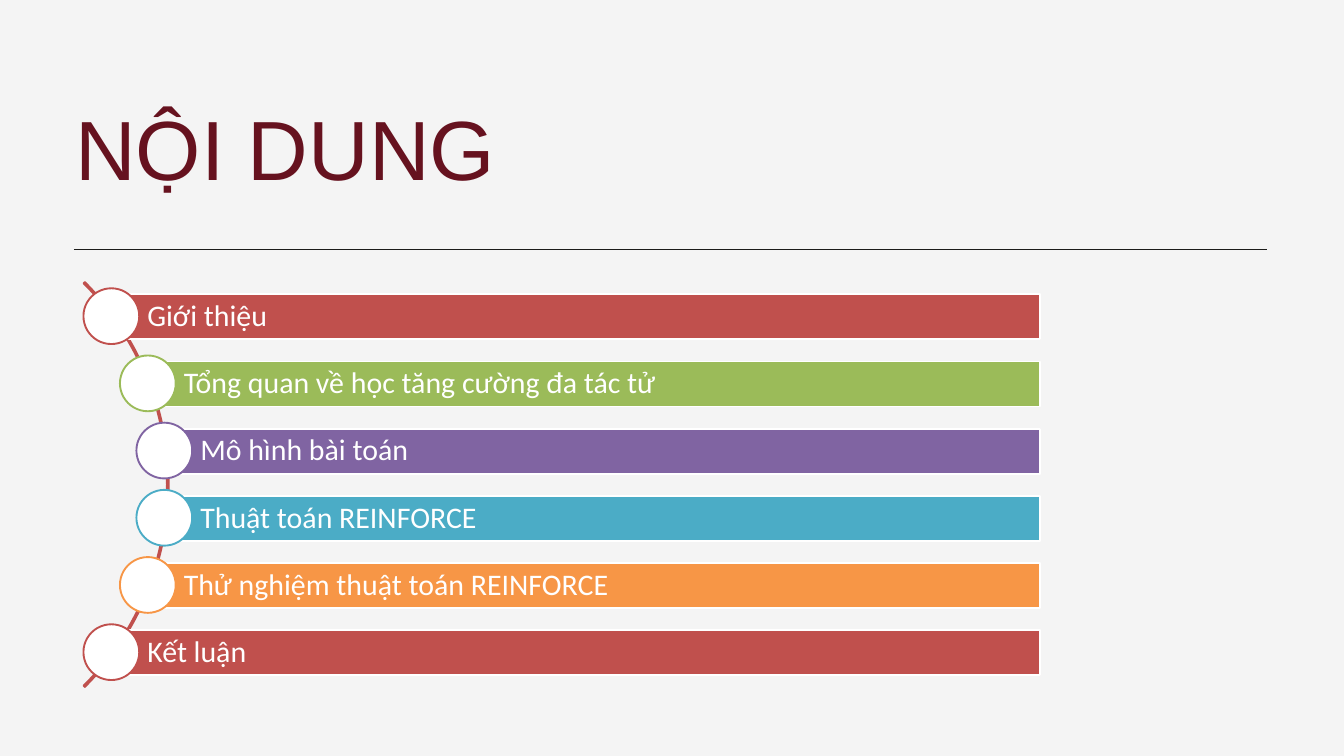
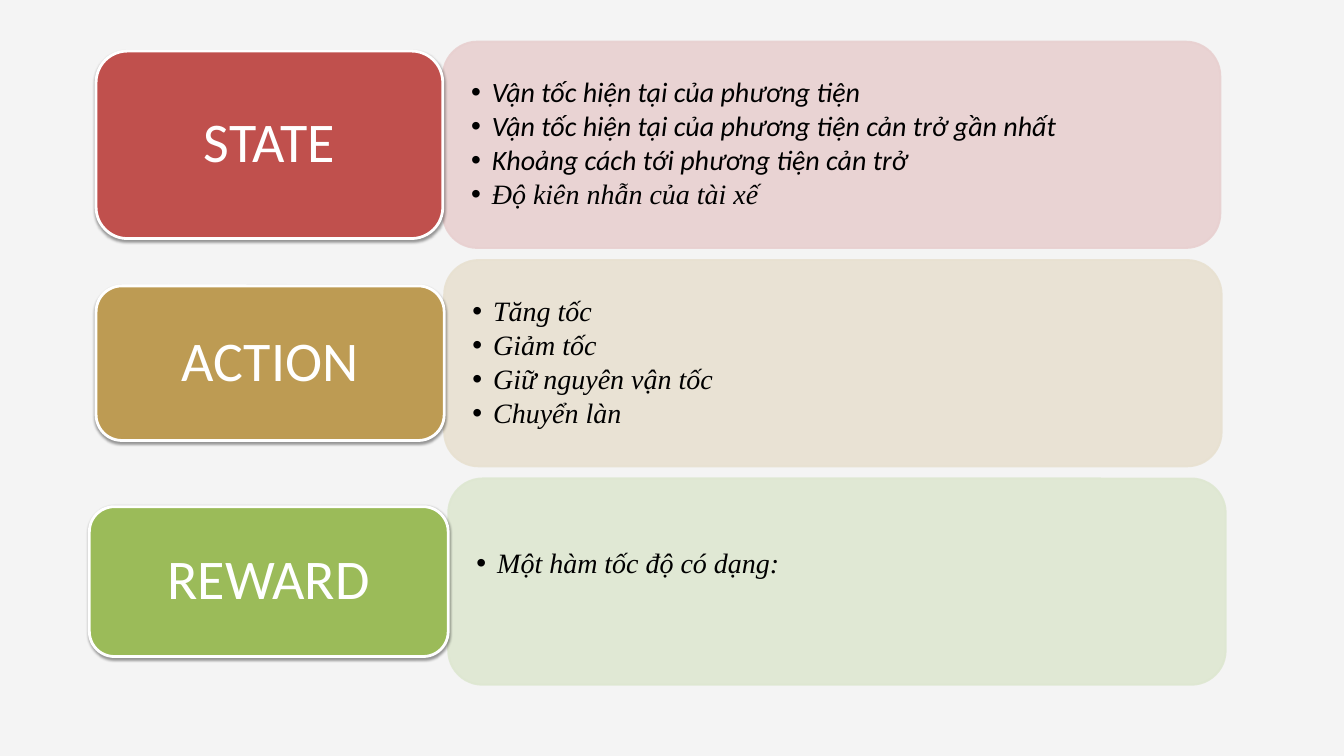
from math import sqrt

from lxml import etree
from pptx import Presentation
from pptx.dml.color import RGBColor
from pptx.enum.shapes import MSO_CONNECTOR, MSO_SHAPE
from pptx.enum.text import MSO_ANCHOR, MSO_AUTO_SIZE, PP_ALIGN
from pptx.oxml.ns import qn
from pptx.util import Inches, Pt

ARC, RECT = MSO_SHAPE.BLOCK_ARC, MSO_SHAPE.RECTANGLE
OVAL, ROUND = MSO_SHAPE.OVAL, MSO_SHAPE.ROUNDED_RECTANGLE
LINE, GROW = MSO_CONNECTOR.STRAIGHT, MSO_AUTO_SIZE.SHAPE_TO_FIT_TEXT
MIDDLE, LEFT, CENTER = MSO_ANCHOR.MIDDLE, PP_ALIGN.LEFT, PP_ALIGN.CENTER

SANS, SERIF, HEAD = "Calibri", "Times New Roman", "Arial"
PAPER, INK, TITLE = "F4F4F4", "1B1B19", "66121F"
WHITE, BLACK = "FFFFFF", "000000"
RED, GREEN, GOLD = "C0504D", "9BBB59", "BD9B53"
VIOLET, TEAL, ORANGE = "8064A2", "4BACC6", "F79646"

# Slide content
TOPICS = [
    ("Giới thiệu", RED),
    ("Tổng quan về học tăng cường đa tác tử", GREEN),
    ("Mô hình bài toán", VIOLET),
    ("Thuật toán REINFORCE", TEAL),
    ("Thử nghiệm thuật toán REINFORCE", ORANGE),
    ("Kết luận", RED),
]
# Label, colour, tint, label left and height, card left, bottom inset, bullets
PARTS = [
    ("STATE", RED, "E8D0D0", 1.43, 2.79, 6.59, 0.14, [
        ("Vận tốc hiện tại của phương tiện", SANS),
        ("Vận tốc hiện tại của phương tiện cản trở gần nhất", SANS),
        ("Khoảng cách tới phương tiện cản trở", SANS),
        ("Độ kiên nhẫn của tài xế", SERIF)]),
    ("ACTION", GOLD, "E8E1D1", 1.43, 2.3, 6.61, 0.14, [
        ("Tăng tốc", SERIF),
        ("Giảm tốc", SERIF),
        ("Giữ nguyên vận tốc", SERIF),
        ("Chuyển làn", SERIF)]),
    ("REWARD", GREEN, "DEE7D1", 1.33, 2.23, 6.67, 0.66, [
        ("Một hàm tốc độ có dạng:", SERIF)]),
]


def paint(code):
    return RGBColor.from_string(code)


def add(node, tag, **attrs):
    return etree.SubElement(node, qn(tag), attrs)


class Deck:
    def __init__(self):
        self.prs = Presentation()
        self.prs.slide_width, self.prs.slide_height = Inches(20), Inches(11.25)
        self.slide = None

    def page(self):
        self.slide = self.prs.slides.add_slide(self.prs.slide_layouts[6])
        fill = self.slide.background.fill
        fill.solid()
        fill.fore_color.rgb = paint(PAPER)

    def shape(self, kind, box, fill, line, width=2):
        item = self.slide.shapes.add_shape(kind, *map(Inches, box))
        item.shadow.inherit = False
        if fill:
            item.fill.solid()
            item.fill.fore_color.rgb = paint(fill)
        else:
            item.fill.background()
        item.line.color.rgb = paint(line)
        item.line.width = Pt(width)
        return item

    def fade(self, item, part):
        for color in item._element.spPr.iter(qn("a:srgbClr")):
            add(color, "a:alpha", val=str(part * 1000))

    def shade(self, item):
        glow = item._element.spPr.find(qn("a:effectLst"))
        drop = add(glow, "a:outerShdw", blurRad=str(Pt(3.1)),
                   dist=str(Pt(1.6)), dir="5400000", rotWithShape="0")
        color = add(drop, "a:srgbClr", val=BLACK)
        add(color, "a:alpha", val="38000")

    def frame(self, item, insets):
        frame = item.text_frame
        frame.word_wrap = True
        frame.vertical_anchor = MIDDLE
        (frame.margin_left, frame.margin_top,
         frame.margin_right, frame.margin_bottom) = map(Inches, insets)
        return frame

    def text(self, para, words, size, font, color, align=LEFT, space=0.9):
        para.alignment = align
        para.line_spacing = space
        run = para.add_run()
        run.text = words
        run.font.size = Pt(size)
        run.font.name = font
        run.font.color.rgb = paint(color)
        return run

    def title(self, words):
        box = self.slide.shapes.add_textbox(
            Inches(1.12), Inches(1.66), Inches(8.88), Inches(1.31))
        frame = self.frame(box, (0, 0, 0, 0))
        frame.auto_size = GROW
        self.text(frame.paragraphs[0], words, 90, HEAD, TITLE, space=Pt(90))

    def rule(self, left, right, top):
        line = self.slide.shapes.add_connector(
            LINE, Inches(left), Inches(top), Inches(right), Inches(top))
        line.line.color.rgb = paint(INK)
        line.line.width = Pt(0.75)
        add(line._element.spPr, "a:effectLst")

    def arc(self, box, color):
        item = self.shape(ARC, box, None, color)
        for i, value in enumerate((189, 27, 0.003)):
            item.adjustments[i] = value

    def topic(self, words, color, x, y):
        bar = self.shape(RECT, (x, y - 0.33, 15.48 - x, 0.67), color, WHITE)
        frame = self.frame(bar, (0.53, 0.09, 0.09, 0.09))
        self.text(frame.paragraphs[0], words, 32, SANS, WHITE)
        self.shape(OVAL, (x - 0.42, y - 0.42, 0.83, 0.83), WHITE, color)

    def card(self, box, tint, base, points):
        item = self.shape(ROUND, box, tint, tint)
        self.fade(item, 90)
        frame = self.frame(item, (0.27, 0.14, 0.27, base))
        for i, (words, font) in enumerate(points):
            para = frame.add_paragraph() if i else frame.paragraphs[0]
            para.level = 1
            props = para._p.get_or_add_pPr()
            props.set("marL", str(Inches(0.31)))
            props.set("indent", str(-Inches(0.31)))
            add(props, "a:buFont", typeface=HEAD)
            add(props, "a:buChar", char="•")
            if i:
                para.space_before = Pt(4)
            self.text(para, words, 30, font, BLACK).font.italic = True

    def label(self, box, words, color):
        item = self.shape(ROUND, box, color, WHITE, 3)
        self.shade(item)
        frame = self.frame(item, (0.25, 0.12, 0.25, 0.12))
        self.text(frame.paragraphs[0], words, 60, SANS, WHITE, CENTER)


def main():
    deck = Deck()

    # Contents: topics strung along an arc
    deck.page()
    deck.rule(1.1, 18.85, 3.71)
    deck.title("NỘI DUNG")
    side, mid_x, mid_y, reach = 8.52, -1.75, 7.21, 4.23
    deck.arc((mid_x - side / 2, mid_y - side / 2, side, side), RED)
    for i, (words, color) in enumerate(TOPICS):
        step = i - (len(TOPICS) - 1) / 2
        deck.topic(words, color, mid_x + sqrt(reach ** 2 - step ** 2),
                   mid_y + step)

    # State, action and reward: a label beside each card
    deck.page()
    wide, high, pitch = 11.57, 3.07, 3.25
    for i, (name, color, tint, left, tall, edge, base, points) in enumerate(PARTS):
        top = 0.62 + i * pitch
        deck.card((edge, top, wide, high), tint, base, points)
        deck.label((left, top + (high - tall) / 2, edge - left, tall),
                   name, color)

    deck.prs.save("out.pptx")


if __name__ == "__main__":
    main()
